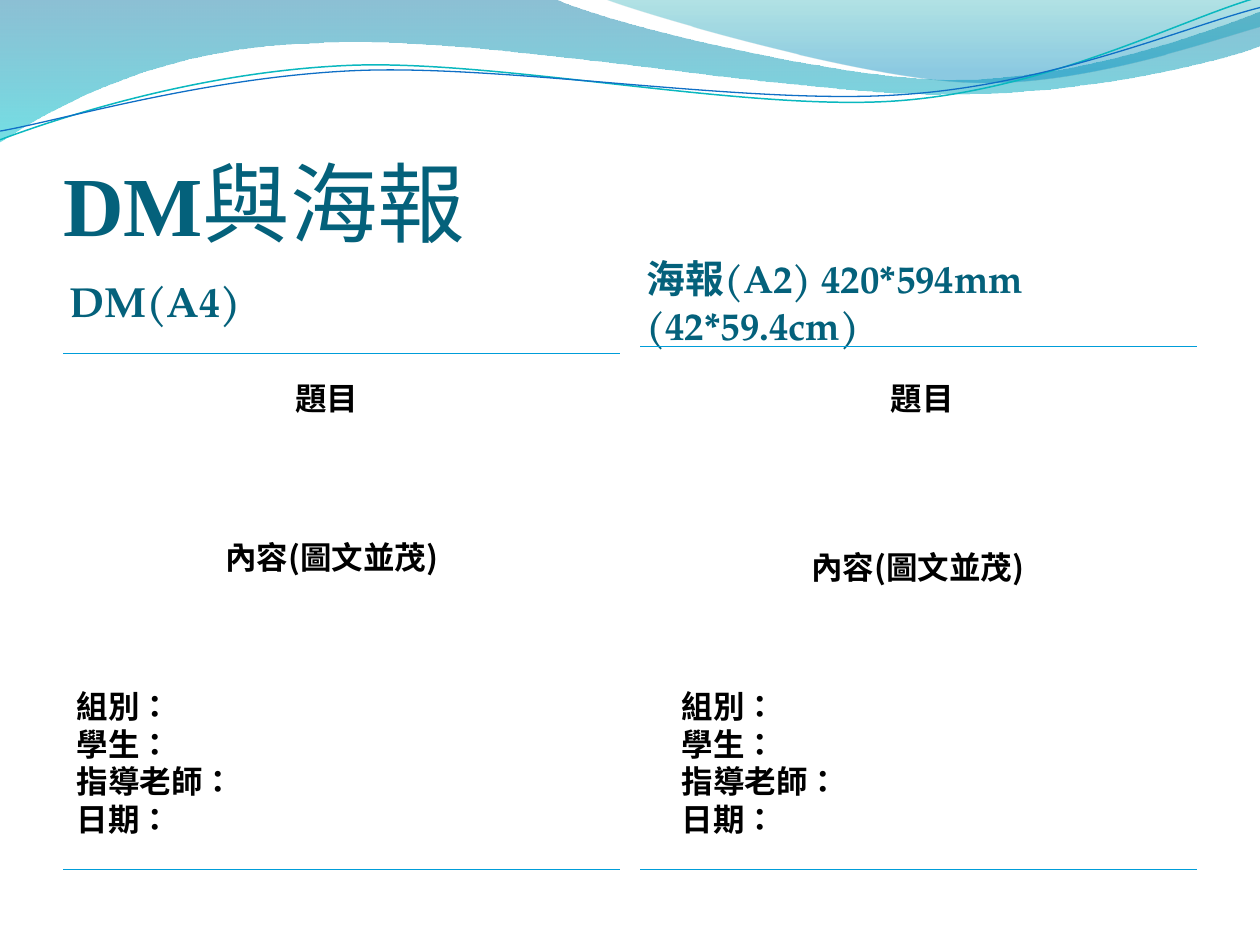
from lxml.etree import SubElement
from pptx import Presentation
from pptx.dml.color import RGBColor
from pptx.enum.lang import MSO_LANGUAGE_ID
from pptx.enum.text import MSO_ANCHOR, MSO_AUTO_SIZE, PP_ALIGN
from pptx.oxml import parse_xml
from pptx.oxml.ns import nsdecls, qn
from pptx.util import Pt

COLORS = {
    "title": "04617B", "text": "000000", "rule": "009DD9",
    "wave_blue": "0074A1", "wave_cyan": "00C6CF",
    "crest_teal": "00A1A9", "crest_blue": "008BBF",
    "line_teal": "0AB8BF", "line_blue": "0F6FC6",
}
SANS, SERIF, TITLE_SERIF = "Noto Sans CJK SC", "TeX Gyre Pagella", "Times New Roman"


def color(name):
    return RGBColor.from_string(COLORS[name])


def add_run(paragraph, text, font=SANS, size=18, bold=True, fill="text"):
    run = paragraph.add_run()
    run.text = text
    run.font.name = font
    run.font.size = Pt(size)
    run.font.bold = bold
    run.font.color.rgb = color(fill)
    run.font.language_id = MSO_LANGUAGE_ID.TRADITIONAL_CHINESE
    SubElement(run.font._element, qn("a:ea"), typeface=font)


class SlideBuilder:
    def __init__(self, presentation):
        self.slide = presentation.slides.add_slide(presentation.slide_layouts[4])
        self.placeholders = {p.placeholder_format.idx: p for p in self.slide.placeholders}

    def curve(self, start, segments, closed=False):
        """Two-value segments are straight; six-value segments are cubic curves."""
        points = [(Pt(s[i]), Pt(s[i + 1])) for s in segments for i in range(0, len(s), 2)]
        builder = self.slide.shapes.build_freeform(Pt(start[0]), Pt(start[1]), scale=1.0)
        builder.add_line_segments(points, close=closed)
        shape = builder.convert_to_shape()
        shape.shadow.inherit = False
        # Join each three control points into one cubic segment
        lines = iter(list(shape._element.iter(qn("a:lnTo"))))
        for segment in segments:
            first = next(lines)
            if len(segment) == 6:
                cubic = first.makeelement(qn("a:cubicBezTo"))
                first.addprevious(cubic)
                for line in (first, next(lines), next(lines)):
                    cubic.append(line[0])
                    line.getparent().remove(line)
        return shape

    def wave(self, start, segments, stops):
        shape = self.curve(start, segments, closed=True)
        shape.line.fill.background()
        shape.fill.gradient()
        shape.fill.gradient_angle = 270
        for stop, (position, name, opacity) in zip(shape.fill.gradient_stops, stops):
            stop.position = position
            stop.color.rgb = color(name)
            SubElement(stop._gs[0], qn("a:alpha"), val=str(opacity * 1000))

    def line(self, start, segments, name, width):
        shape = self.curve(start, segments)
        shape.fill.background()
        shape.line.color.rgb = color(name)
        shape.line.width = Pt(width)

    def placeholder(self, index, box, anchor, margins, runs, space_before=0):
        shape = self.placeholders[index]
        shape.left, shape.top, shape.width, shape.height = map(Pt, box)
        frame = shape.text_frame
        frame.word_wrap = True
        frame.auto_size = MSO_AUTO_SIZE.NONE
        frame.vertical_anchor = anchor
        (frame.margin_left, frame.margin_top,
         frame.margin_right, frame.margin_bottom) = map(Pt, margins)
        paragraph = frame.paragraphs[0]
        paragraph.alignment = PP_ALIGN.LEFT
        paragraph.space_before = Pt(space_before)
        for text, style in runs:
            add_run(paragraph, text, fill="title", **style)

    def text(self, box, lines, wrap=False):
        frame = self.slide.shapes.add_textbox(*map(Pt, box)).text_frame
        frame.word_wrap = wrap
        frame.auto_size = MSO_AUTO_SIZE.SHAPE_TO_FIT_TEXT
        for number, line in enumerate(lines):
            paragraph = frame.add_paragraph() if number else frame.paragraphs[0]
            add_run(paragraph, line)

    def ruled_table(self, box):
        table = self.slide.shapes.add_table(1, 1, *map(Pt, box)).table
        table.first_row = table.horz_banding = False
        cell = table.cell(0, 0)
        cell.fill.background()
        properties = cell._tc.get_or_add_tcPr()
        rule = f'<a:solidFill><a:srgbClr val="{COLORS["rule"]}"/></a:solidFill>'
        borders = {"lnL": "<a:noFill/>", "lnR": "<a:noFill/>", "lnT": rule, "lnB": rule}
        for position, (side, paint) in enumerate(borders.items()):
            properties.insert(position, parse_xml(
                f'<a:{side} {nsdecls("a")} w="{Pt(1)}">{paint}</a:{side}>'))

    def remove_empty_placeholders(self):
        for shape in list(self.slide.placeholders):
            if not shape.text_frame.text:
                shape._element.getparent().remove(shape._element)


presentation = Presentation()
presentation.slide_width, presentation.slide_height = Pt(720), Pt(540)
builder = SlideBuilder(presentation)

# Wave banner
builder.wave((0, 0), [
    (316.8, -0.7), (342.7, 12.2, 478.1, 45.4, 545.8, 45.4),
    (614.2, 45.4, 689.8, 18.7, 720, 6.5), (720.7, 25.9),
    (707.8, 31.7, 626.4, 54.7, 537.1, 54), (447.8, 54, 275, 20.2, 185, 24.5),
    (92.9, 25.9, 33.1, 59.8, -0.7, 81.4), (0, 0),
], [(0, "wave_blue", 45), (1, "wave_cyan", 55)])
builder.wave((344.9, -0.7), [
    (366.5, 7.9, 491, 44.6, 553.7, 46.8), (616.3, 49.7, 691.9, 23, 720, 15.1),
    (720, 0), (344.9, -0.7),
], [(0, "crest_teal", 30), (0.8, "crest_blue", 45)])
builder.line((0, 79.9), [
    (34.6, 67, 113.8, 41, 199.4, 37.4), (284.4, 33.8, 427, 64.1, 513.4, 57.6),
    (599.8, 51.1, 675.4, 10.8, 718.6, -1.4),
], "line_teal", 0.85)
builder.line((0, 74.9), [
    (33.8, 69.1, 118.1, 43.9, 203.8, 40.3), (290.2, 36.7, 429.8, 60.5, 516.2, 54),
    (601.9, 48.2, 677.5, 15.1, 720, 4.3),
], "line_blue", 0.75)

# Title
builder.placeholder(0, (36, 55.2, 648, 90), MSO_ANCHOR.BOTTOM, (0, 3.6, 0, 0), [
    ("DM", dict(font=TITLE_SERIF, size=48)),
    ("與海報", dict(size=50, bold=False)),
])

# Two columns: heading, ruled area, topic, content and credits
COLUMN_WIDTH, AREA_BOTTOM = 318.2, 496.8
columns = [
    dict(index=1, left=36, area_top=202, topic=161.5, content=(121.7, 303.8), credits=36.7,
         heading=[("DM(A4)", dict(font=SERIF, size=24))]),
    dict(index=3, left=365.8, area_top=198, topic=501.8, content=(456.5, 309.6), credits=382.5,
         heading=[("海報", dict(size=22.2)),
                  ("(A2) 420*594mm\u00a0 (42*59.4cm)", dict(font=SERIF, size=22.2))]),
]
for column in columns:
    builder.placeholder(column["index"], (column["left"], 146.2, COLUMN_WIDTH, 51.8),
                        MSO_ANCHOR.MIDDLE, (3.6, 0, 3.6, 0), column["heading"], 4.8)
    builder.ruled_table((column["left"], column["area_top"], COLUMN_WIDTH,
                         AREA_BOTTOM - column["area_top"]))
    builder.text((column["topic"], 213.1, 51.1, 29), ["題目"])
    builder.text((*column["content"], 141.8, 29), ["內容(圖文並茂)"], wrap=True)
    builder.text((column["credits"], 389, 105.1, 94.5),
                 ["組別：", "學生：", "指導老師：", "日期："])

builder.remove_empty_placeholders()
presentation.save("out.pptx")
